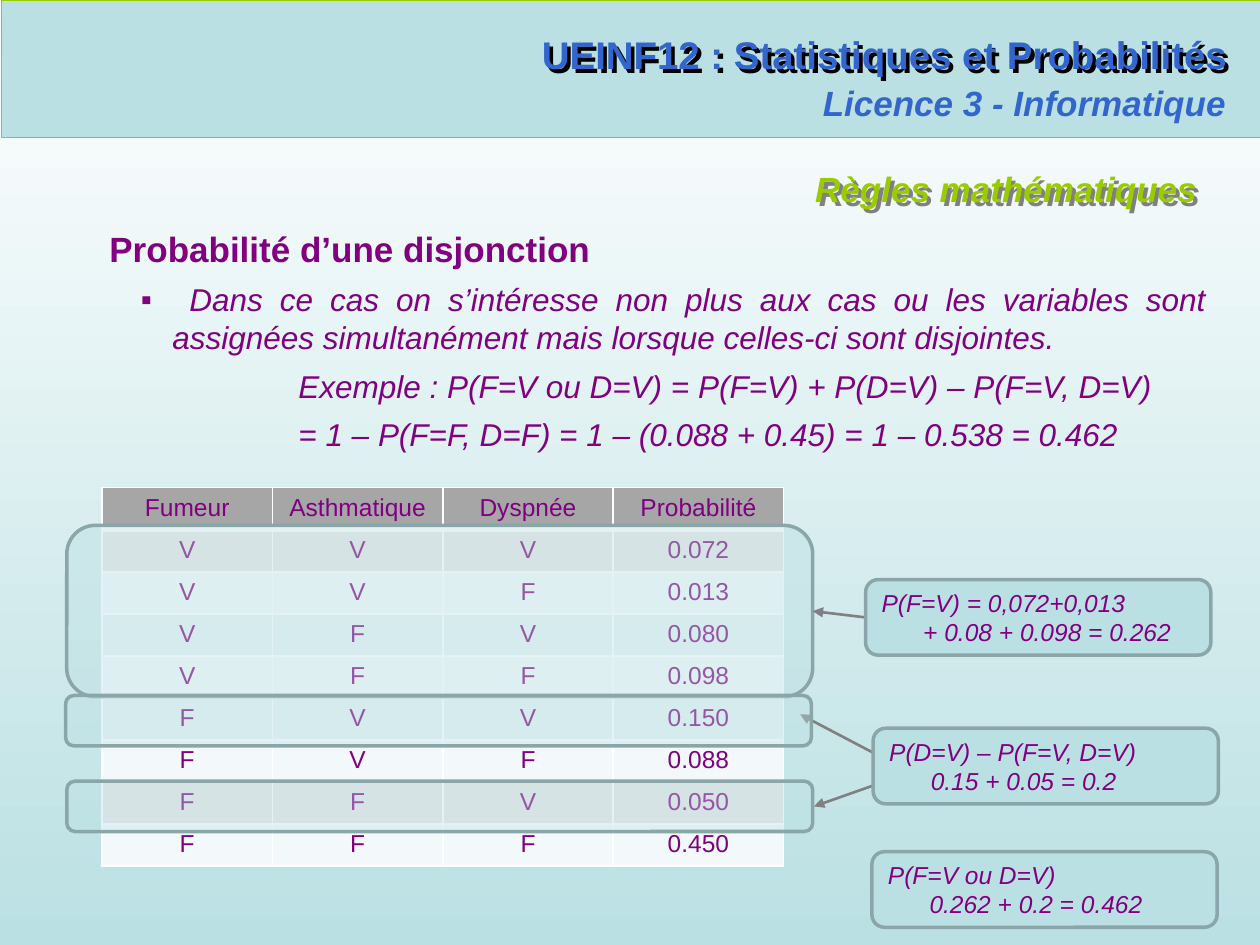
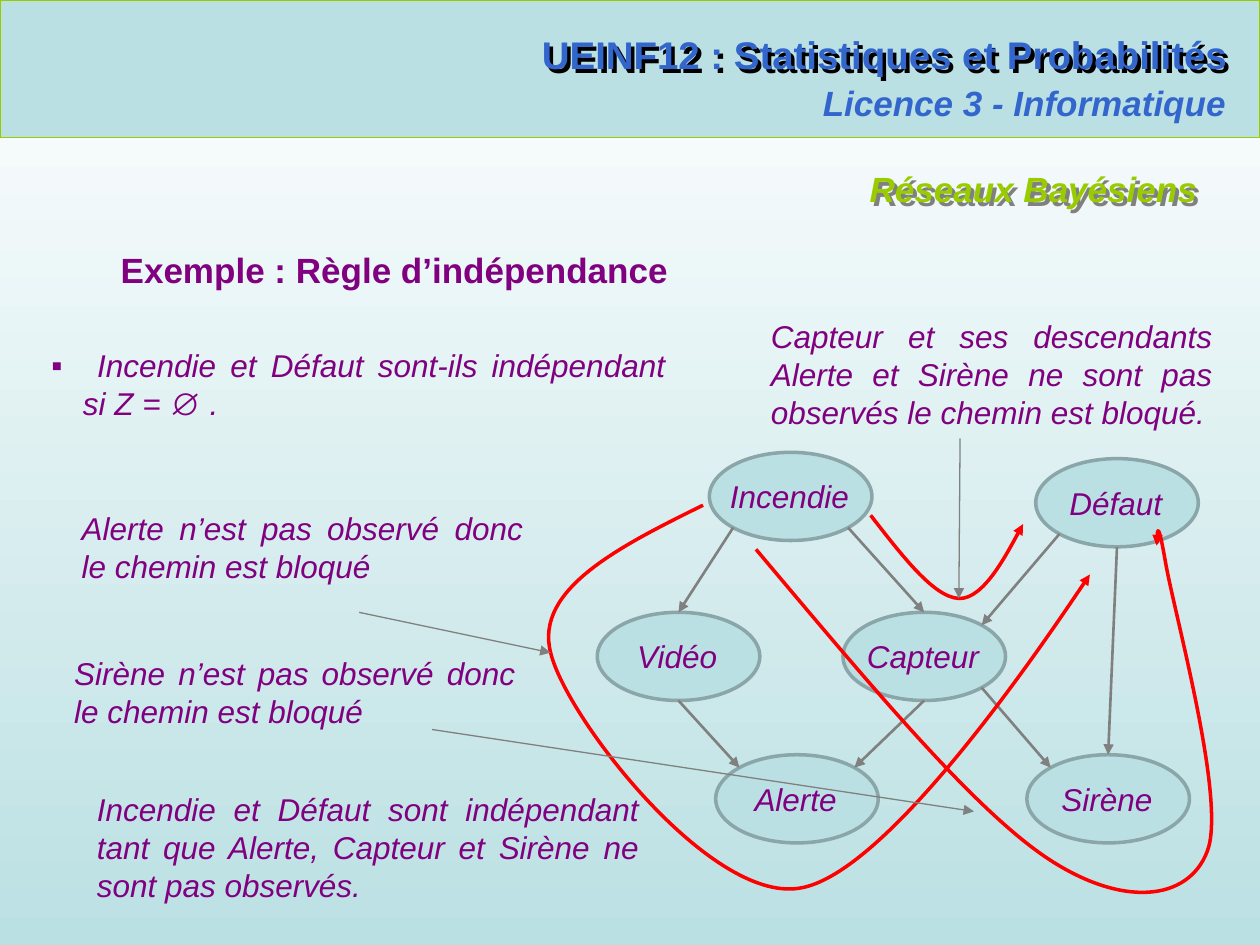
from dataclasses import dataclass
from itertools import product
from math import cos, radians, sin
from typing import NamedTuple

from lxml.etree import SubElement
from pptx import Presentation
from pptx.dml.color import RGBColor
from pptx.enum.shapes import MSO_CONNECTOR as Connector, MSO_SHAPE as Preset
from pptx.enum.text import MSO_ANCHOR as Anchor, PP_ALIGN as Align
from pptx.oxml.ns import qn
from pptx.util import Inches, Pt


@dataclass(frozen=True)
class Theme:
    font: str = "Arial"
    white: str = "FFFFFF"
    black: str = "000000"
    aqua: str = "BBE0E3"
    teal: str = "8AA6A8"
    green: str = "99CC00"
    blue: str = "3366CC"
    purple: str = "800080"
    gray: str = "808080"
    red: str = "FF0000"
    header_row: str = "A6A6A6"
    marked_row: str = "E6E6E6"
    odd_row: str = "E7F3F4"
    even_row: str = "F3F9FA"
    course_size: int = 22
    heading_size: int = 20
    body_size: int = 18
    small_size: int = 14


THEME = Theme()
COURSE = dict(size=THEME.course_size, bold=True, color=THEME.blue)
DEGREE = dict(size=THEME.heading_size, bold=True, italic=True, color=THEME.blue)
TOPIC = {**DEGREE, "color": THEME.green}
HEADING = dict(size=THEME.heading_size, bold=True, color=THEME.purple)
BODY = dict(size=THEME.body_size, italic=True, color=THEME.purple)
SMALL = {**BODY, "size": THEME.small_size}
CELL = dict(size=THEME.small_size, color=THEME.purple)


class Box(NamedTuple):
    left: float
    top: float
    width: float
    height: float

    def emu(self) -> list:
        return [Inches(value) for value in self]

    def rim(self, angle: float) -> tuple:
        """Point of the inscribed ellipse, clockwise from the right."""
        turn = radians(angle)
        return (self.left + self.width / 2 * (1 + cos(turn)),
                self.top + self.height / 2 * (1 + sin(turn)))


class Line(NamedTuple):
    text: str
    style: dict
    align: Align = Align.LEFT
    margin: float = 0
    after: float = 0
    bullet: str = ""


class Arrow(NamedTuple):
    start: tuple
    end: tuple


class Edge(NamedTuple):
    source: str
    source_angle: float
    target: str
    target_angle: float


def rgb(color: str) -> RGBColor:
    return RGBColor.from_string(color)


def body(text: str, margin: float = 0.5, bullet: str = "") -> Line:
    return Line(text, BODY, Align.JUSTIFY, margin, 6, bullet)


def heading(text: str) -> Line:
    return Line(text, HEADING, Align.JUSTIFY, after=6)


def write(frame, lines: list) -> None:
    for index, line in enumerate(lines):
        paragraph = frame.paragraphs[0] if index == 0 else frame.add_paragraph()
        properties = paragraph._p.get_or_add_pPr()
        properties.set("marL", str(Inches(line.margin)))
        properties.set("indent", str(Inches(-0.25 if line.bullet else 0)))
        if line.bullet:
            SubElement(properties, qn("a:buFont"), typeface=THEME.font)
            SubElement(properties, qn("a:buChar"), char=line.bullet)
        paragraph.alignment = line.align
        paragraph.space_after = Pt(line.after)
        run = paragraph.add_run()
        run.text = line.text
        values = {**line.style, "name": THEME.font, "size": Pt(line.style["size"])}
        run.font.color.rgb = rgb(values.pop("color"))
        for name, value in values.items():
            setattr(run.font, name, value)


def add_text(slide, box: Box, lines: list, wrap: bool = True, shadow: str = "") -> None:
    shape = slide.shapes.add_textbox(*box.emu())
    shape.text_frame.word_wrap = wrap
    write(shape.text_frame, lines)
    if shadow:
        effects = SubElement(shape._element.spPr, qn("a:effectLst"))
        outer = SubElement(effects, qn("a:outerShdw"), dist=str(Inches(0.04)), dir="2700000")
        SubElement(outer, qn("a:srgbClr"), val=shadow)


def set_line(shape, color: str, width: float, arrow: bool = False) -> None:
    shape.line.color.rgb = rgb(color)
    shape.line.width = Pt(width)
    if arrow:
        SubElement(shape._element.spPr.find(qn("a:ln")), qn("a:tailEnd"), type="triangle")


def add_panel(slide, preset: Preset, box: Box, lines: list = (), color: str = THEME.teal,
              width: float = 2, opacity: int = 100) -> None:
    shape = slide.shapes.add_shape(preset, *box.emu())
    shape.shadow.inherit = False
    shape.fill.solid()
    shape.fill.fore_color.rgb = rgb(THEME.aqua)
    if opacity < 100:
        fill_color = shape._element.spPr.find(qn("a:solidFill"))[0]
        SubElement(fill_color, qn("a:alpha"), val=str(opacity * 1000))
    set_line(shape, color, width)
    shape.text_frame.vertical_anchor = Anchor.MIDDLE
    write(shape.text_frame, lines)


def add_line(slide, start: tuple, end: tuple, color: str = THEME.gray,
             width: float = 1.5, arrow: bool = True) -> None:
    ends = [Inches(value) for value in (*start, *end)]
    connector = slide.shapes.add_connector(Connector.STRAIGHT, *ends)
    set_line(connector, color, width, arrow)
    SubElement(connector._element.spPr, qn("a:effectLst"))


def add_curve(slide, start: tuple, segments: list) -> None:
    """Draw a red arrow; a segment has three points for a cubic curve, one for a line."""
    segments = [[(Inches(x), Inches(y)) for x, y in segment] for segment in segments]
    builder = slide.shapes.build_freeform(Inches(start[0]), Inches(start[1]))
    builder.add_line_segments([segment[-1] for segment in segments], close=False)
    arrow = builder.convert_to_shape()
    arrow.shadow.inherit = False
    arrow.fill.background()
    set_line(arrow, THEME.red, 2, arrow=True)
    steps = list(arrow._element.iter(qn("a:lnTo")))
    for step, segment in zip(steps, segments):
        if len(segment) == 3:
            step.tag = qn("a:cubicBezTo")
            step.remove(step[0])
            for x, y in segment:
                SubElement(step, qn("a:pt"), x=str(x - arrow.left), y=str(y - arrow.top))


def add_course_slide(presentation, topic: str, band_left: float = 0):
    """Add a slide with the gradient, the course band and the topic title."""
    slide = presentation.slides.add_slide(presentation.slide_layouts[6])
    fill = slide.background.fill
    fill.gradient()
    fill.gradient_angle = 270
    for stop, position, color in zip(fill.gradient_stops, (0, 1), (THEME.white, THEME.aqua)):
        stop.position = position
        stop.color.rgb = rgb(color)
    add_panel(slide, Preset.RECTANGLE, Box(band_left, 0, 10, 1.09),
              color=THEME.green, width=0.75)
    add_text(slide, Box(4.04, 0.2, 5.8, 0.47),
             [Line("UEINF12 : Statistiques et Probabilités", COURSE, Align.RIGHT)],
             wrap=False, shadow=THEME.black)
    add_text(slide, Box(6.41, 0.6, 3.42, 0.44),
             [Line("Licence 3 - Informatique", DEGREE, Align.RIGHT)], wrap=False)
    add_line(slide, (0.34, 1.09), (9.76, 1.09), THEME.green, 0.75, arrow=False)
    add_text(slide, Box(2.17, 1.28, 7.43, 0.44), [Line(topic, TOPIC, Align.RIGHT)],
             shadow=THEME.gray)
    return slide


def set_borders(cell, bottom: float) -> None:
    properties = cell._tc.get_or_add_tcPr()
    for index, (side, width) in enumerate(dict(lnL=1, lnR=1, lnT=1, lnB=bottom).items()):
        border = SubElement(properties, qn(f"a:{side}"), w=str(Pt(width)))
        solid = SubElement(border, qn("a:solidFill"))
        SubElement(solid, qn("a:srgbClr"), val=THEME.white)
        properties.insert(index, border)


def add_probability_table(slide) -> None:
    header = ("Fumeur", "Asthmatique", "Dyspnée", "Probabilité")
    chances = ("0.072", "0.013", "0.080", "0.098", "0.150", "0.088", "0.050", "0.450")
    rows = [header] + [(*case, chance) for case, chance in zip(product("VF", repeat=3), chances)]
    fills = {0: THEME.header_row, 1: THEME.marked_row, 7: THEME.marked_row}
    box = Box(0.81, 3.87, 5.41, 3)
    table = slide.shapes.add_table(len(rows), len(header), *box.emu()).table
    for row_index, row in enumerate(rows):
        band = THEME.odd_row if row_index % 2 else THEME.even_row
        for column_index, text in enumerate(row):
            cell = table.cell(row_index, column_index)
            cell.fill.solid()
            cell.fill.fore_color.rgb = rgb(fills.get(row_index, band))
            set_borders(cell, bottom=1 if row_index else 3)
            write(cell.text_frame, [Line(text, CELL, Align.CENTER)])


def add_frame(slide, left: float, top: float, height: float) -> None:
    add_panel(slide, Preset.ROUNDED_RECTANGLE, Box(left, top, 5.92, height), opacity=39)


def add_callout(slide, left: float, top: float, first: str, second: str) -> None:
    add_panel(slide, Preset.ROUNDED_RECTANGLE, Box(left, top, 2.74, 0.6),
              [Line(first, SMALL), Line(second, SMALL, margin=0.33)])


def build_disjunction(presentation) -> None:
    slide = add_course_slide(presentation, "Règles mathématiques", band_left=0.01)
    add_text(slide, Box(0.77, 1.76, 8.9, 1.9), [
        heading("Probabilité d’une disjonction"),
        body(" Dans ce cas on s’intéresse non plus aux cas ou les variables sont assignées "
             "simultanément mais lorsque celles-ci sont disjointes.", bullet="▪"),
        body("Exemple : P(F=V ou D=V) = P(F=V) + P(D=V) – P(F=V, D=V)", 1.5),
        body("= 1 – P(F=F, D=F) = 1 – (0.088 + 0.45) = 1 – 0.538 = 0.462", 1.5),
    ])
    add_probability_table(slide)
    add_frame(slide, 0.53, 4.17, 1.36)
    add_line(slide, (6.87, 4.9), (6.45, 4.85))
    add_callout(slide, 6.87, 4.6, "P(F=V) = 0,072+0,013", "+ 0.08 + 0.098 = 0.262")
    add_frame(slide, 0.53, 6.2, 0.4)
    add_line(slide, (6.96, 5.99), (6.35, 5.67))
    add_frame(slide, 0.52, 5.52, 0.4)
    add_line(slide, (7, 6.21), (6.46, 6.4))
    add_callout(slide, 6.93, 5.78, "P(D=V) – P(F=V, D=V)", "0.15 + 0.05 = 0.2")
    add_callout(slide, 6.92, 6.76, "P(F=V ou D=V)", "0.262 + 0.2 = 0.462")


def add_network(slide) -> None:
    corners = {"Incendie": (5.63, 3.59), "Défaut": (8.22, 3.64), "Capteur": (6.69, 4.86),
               "Vidéo": (4.74, 4.86), "Sirène": (8.15, 5.99), "Alerte": (5.68, 5.99)}
    nodes = {name: Box(*corner, 1.29, 0.7) for name, corner in corners.items()}
    for name, box in nodes.items():
        add_panel(slide, Preset.OVAL, box)
        label = Box(box.left + 0.03, box.top + 0.15, 1.21, 0.4)
        add_text(slide, label, [Line(name, BODY, Align.CENTER)], wrap=False)
    right_down, down, left_down, left_up, up, right_up = 45, 90, 135, 225, 270, 315
    for edge in (
        Edge("Défaut", left_down, "Capteur", right_up),
        Edge("Incendie", left_down, "Vidéo", up),
        Edge("Incendie", right_down, "Capteur", up),
        Edge("Défaut", down, "Sirène", up),
        Edge("Capteur", right_down, "Sirène", left_up),
        Edge("Vidéo", down, "Alerte", left_up),
        Edge("Capteur", down, "Alerte", right_up),
    ):
        add_line(slide, nodes[edge.source].rim(edge.source_angle),
                 nodes[edge.target].rim(edge.target_angle))


def build_independence(presentation) -> None:
    slide = add_course_slide(presentation, "Réseaux Bayésiens")
    add_text(slide, Box(0.86, 1.92, 8.9, 0.44), [heading("Exemple : Règle d’indépendance")])
    add_network(slide)
    for box, line in (
        (Box(0.06, 2.7, 5.32, 0.71),
         body(" Incendie et Défaut sont-ils indépendant si Z = ∅ .", bullet="▪")),
        (Box(0.05, 3.99, 4.2, 0.71), body("Alerte n’est pas observé donc le chemin est bloqué")),
        (Box(5.52, 2.47, 4.2, 1.01), body("Capteur et ses descendants Alerte et Sirène ne sont "
                                          "pas observés le chemin est bloqué.")),
        (Box(0.17, 6.22, 5, 1.01), body("Incendie et Défaut sont indépendant tant que Alerte, "
                                        "Capteur et Sirène ne sont pas observés.")),
        (Box(-0.01, 5.14, 4.2, 0.71), body("Sirène n’est pas observé donc le chemin est bloqué")),
    ):
        add_text(slide, box, [line])
    add_curve(slide, (5.58, 4.01), [
        [(4.91, 4.34), (4.24, 4.68), (4.37, 5.18)],
        [(4.49, 5.69), (5.63, 7.16), (6.34, 7.05)],
        [(7.06, 6.95), (8.65, 4.56), (8.65, 4.56)],
    ])
    add_curve(slide, (6.91, 4.09), [
        [(7.16, 4.41), (7.41, 4.74), (7.61, 4.75)],
        [(7.81, 4.76), (8.12, 4.16), (8.12, 4.16)],
    ])
    add_curve(slide, (6, 4.36), [
        [(6.86, 5.38), (7.71, 6.41), (8.31, 6.81)],
        [(8.91, 7.21), (9.43, 7.15), (9.58, 6.76)],
        [(9.74, 6.37), (9.32, 4.87), (9.25, 4.46)],
        [(9.18, 4.06), (9.18, 4.36), (9.18, 4.36)],
        [(9.18, 4.33)],
    ])
    for pointer in (Arrow((2.85, 4.86), (4.37, 5.18)), Arrow((7.62, 3.48), (7.61, 4.75)),
                    Arrow((3.43, 5.79), (7.73, 6.44))):
        add_line(slide, pointer.start, pointer.end, width=0.75)


def main() -> None:
    presentation = Presentation()
    presentation.slide_width, presentation.slide_height = Inches(10), Inches(7.5)
    build_disjunction(presentation)
    build_independence(presentation)
    presentation.save("out.pptx")


if __name__ == "__main__":
    main()
